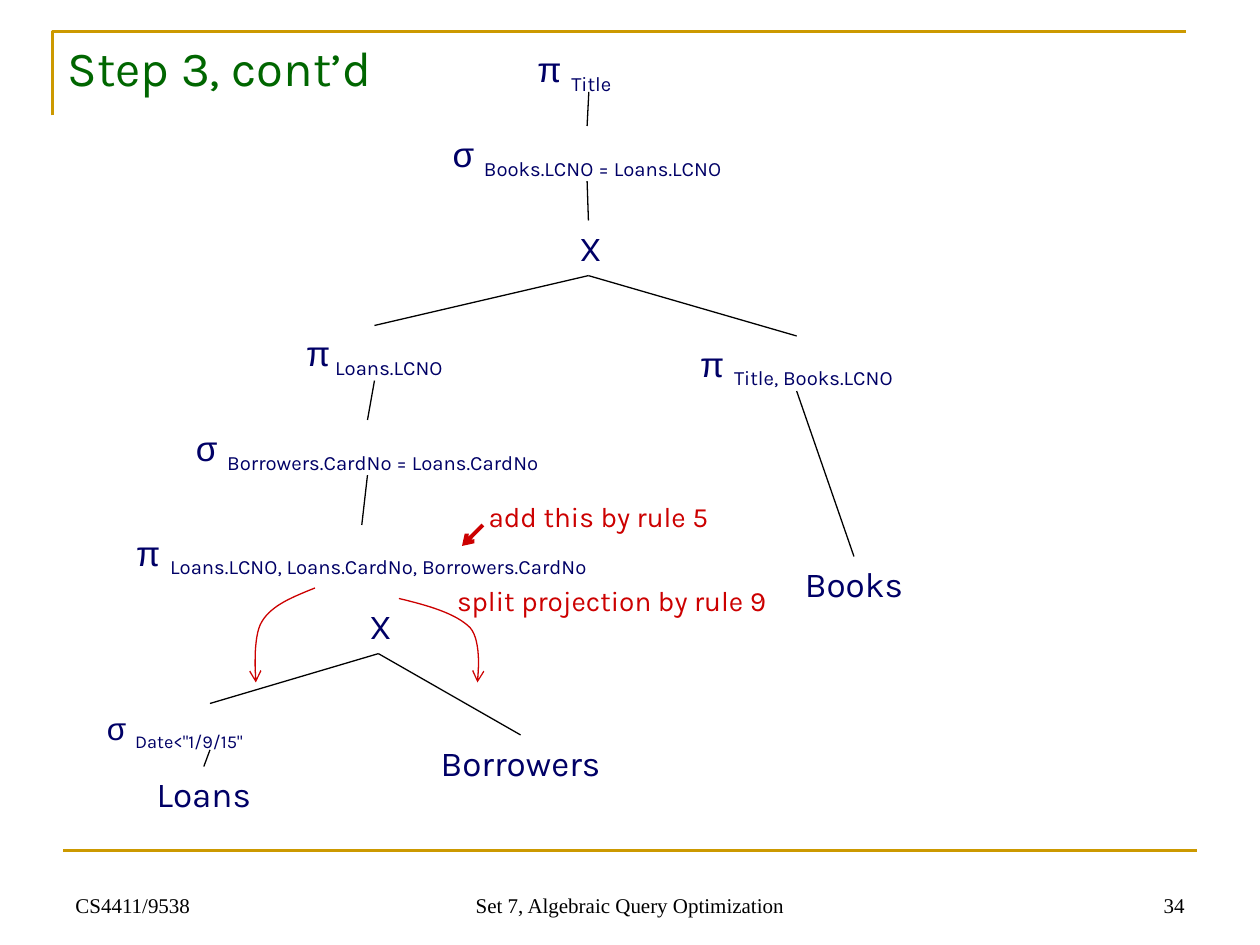
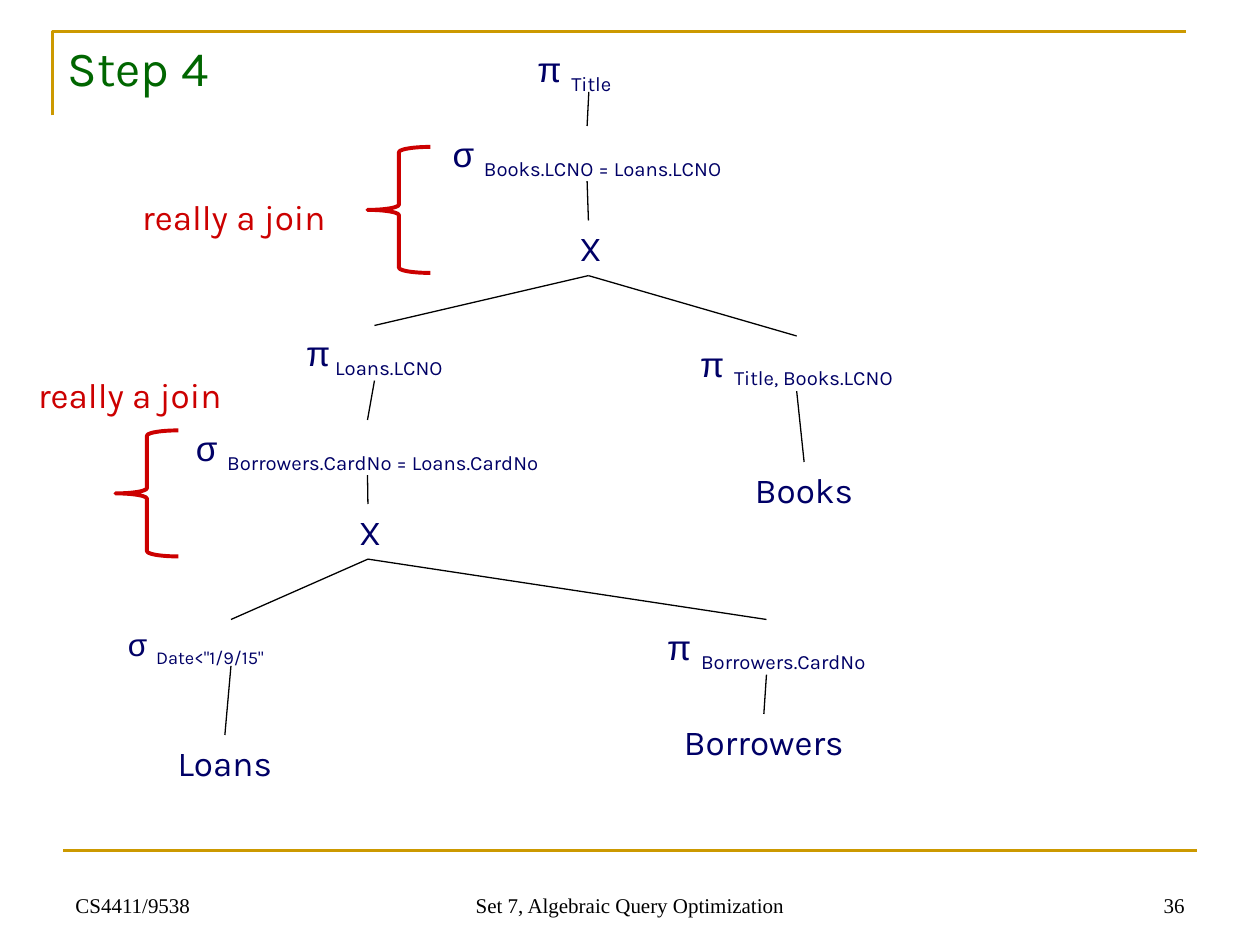
"""Build two slides of query trees for algebraic query optimization."""
from lxml import etree
from pptx import Presentation
from pptx import util as u
from pptx.dml.color import RGBColor
from pptx.enum import shapes, text
from pptx.oxml.ns import qn

GOLD, GREEN, NAVY, RED, BLACK = "CC9900", "006600", "000066", "CC0000", "000000"
BODY_FONT, SYMBOL_FONT, FOOTER_FONT = "Karla", "Arial", "Times New Roman"
LEFT, CENTER, RIGHT = text.PP_ALIGN.LEFT, text.PP_ALIGN.CENTER, text.PP_ALIGN.RIGHT

COURSE, TOPIC = "CS4411/9538", "Set 7, Algebraic Query Optimization"

# node: (parent, symbol, label, left, top, width)
SHARED_TREE = {
    "root": (None, "π ", "Title", 300, 24, 73),
    "book join": ("root", "σ ", "Books.LCNO = Loans.LCNO", 246, 72, 179),
    "top product": ("book join", "", "X", 324, 126, 24.5),
    "loan columns": ("top product", "π", " Loans.LCNO", 165, 186, 98),
    "book columns": ("top product", "π ", "Title, Books.LCNO", 390, 192, 130.5),
    "card join": ("loan columns", "σ ", "Borrowers.CardNo = Loans.CardNo", 98, 240, 224),
}
STEPS = [
    {
        "title": "Step 3, cont’d", "title width": 191, "number": "34",
        "tree": {
            "card columns": ("card join", "π ", "Loans.LCNO, Loans.CardNo, Borrowers.CardNo",
                             60.5, 300, 292.5),
            "low product": (None, "", "X", 204, 342, 24.5),
            "date filter": ("low product", "σ ", "Date<\"1/9/15\"", 54, 402, 132),
            "loans": ("date filter", "", "Loans", 81.5, 438, 70),
            "borrowers": ("low product", "", "Borrowers", 241, 420, 113),
            "books": ("book columns", "", "Books", 452, 318, 72),
        },
        "notes": [("add this by rule 5", 270, 282, 144, 16),
                  ("split projection by rule 9", 252, 330, 195, 16)],
        "pointers": [((276, 300), (264, 312))],
        "curves": [
            [(180, 336), (167.8, 341), (155.5, 345.6), (149.8, 355),
             (144, 363.6), (146.2, 388.8), (146.2, 388.8), (146.2, 390)],
            [(228, 342), (244.8, 346), (260.6, 350.6), (268.6, 358.6),
             (275.8, 366.5), (272.9, 388.8), (272.9, 388.8), (272.9, 390)],
        ],
        "braces": [],
    },
    {
        "title": "Step 4", "title width": 96, "number": "36",
        "tree": {
            "low product": ("card join", "", "X", 198, 288, 24.5),
            "date filter": ("low product", "σ ", "Date<\"1/9/15\"", 66, 354, 132),
            "loans": ("date filter", "", "Loans", 93.5, 420, 70),
            "card columns": ("low product", "π ", "Borrowers.CardNo", 354, 354, 168),
            "borrowers": ("card columns", "", "Borrowers", 380, 408, 113),
            "books": ("book columns", "", "Books", 423.5, 264, 72),
        },
        "notes": [("really a join", 72.5, 108, 122.5, 20),
                  ("really a join", 13, 210, 122.5, 20)],
        "pointers": [],
        "curves": [],
        "braces": [(210, 84), (66, 246)],
    },
]
# left-aligned nodes: (size, height, space before)
HANGING = {"root": (20, 31.5, 5), "date filter": (18, 29.5, 4.5)}


def color(code):
    return RGBColor.from_string(code)


def points(*values):
    return [u.Pt(value) for value in values]


def apply(target, **formats):
    for name, value in formats.items():
        setattr(target, name, value)


def fill_text(frame, runs, size, code, align=LEFT, **paragraph_formats):
    """Write (words, font, baseline) runs into the frame's first paragraph."""
    line = frame.paragraphs[0]
    apply(line, alignment=align, **paragraph_formats)
    for words, font, baseline in runs:
        run = line.add_run()
        run.text = words
        apply(run.font, name=font, size=u.Pt(size), bold=False)
        run.font.color.rgb = color(code)
        if baseline:
            run.font._element.set("baseline", str(baseline))


def add_text(slide, box, runs, size, code, align=CENTER, frame_formats=None, **formats):
    frame = slide.shapes.add_textbox(*points(*box)).text_frame
    apply(frame, **(frame_formats or {
        "word_wrap": align != CENTER,
        "auto_size": text.MSO_AUTO_SIZE.SHAPE_TO_FIT_TEXT}))
    fill_text(frame, runs, size, code, align, **formats)


def style_line(shape, code, width, arrow=False):
    shape.line.color.rgb = color(code)
    shape.line.width = u.Pt(width)
    if arrow:
        etree.SubElement(shape.line._get_or_add_ln(), qn("a:tailEnd"), type="arrow")


def add_line(slide, start, end, code=BLACK, width=0.75, arrow=False):
    line = slide.shapes.add_connector(
        shapes.MSO_CONNECTOR.STRAIGHT, *points(*start, *end))
    style_line(line, code, width, arrow)
    etree.SubElement(line._element.spPr, qn("a:effectLst"))


def add_outline(slide, corners, code, width, arrow=False):
    start, *rest = [points(*corner) for corner in corners]
    builder = slide.shapes.build_freeform(*start)
    builder.add_line_segments(rest, close=False)
    outline = builder.convert_to_shape()
    outline.fill.background()
    outline.shadow.inherit = False
    style_line(outline, code, width, arrow)


def bezier(controls, steps=16):
    """Return points along one cubic curve, without its start."""
    def at(t):
        weights = ((1 - t) ** 3, 3 * t * (1 - t) ** 2, 3 * t * t * (1 - t), t ** 3)
        return tuple(sum(w * c for w, c in zip(weights, axis)) for axis in zip(*controls))
    return [at(step / steps) for step in range(1, steps + 1)]


def add_base(slide, step):
    heading = slide.shapes.title
    apply(heading, **dict(zip(("left", "top", "width", "height"),
                              points(31.5, 18, step["title width"], 41))))
    apply(heading.text_frame, word_wrap=False, auto_size=text.MSO_AUTO_SIZE.NONE,
          vertical_anchor=text.MSO_ANCHOR.TOP)
    fill_text(heading.text_frame, [(step["title"], BODY_FONT, 0)], 28, GREEN)
    add_outline(slide, [(30, 66), (30, 18), (678, 18)], GOLD, 1.5)
    add_line(slide, (36, 486), (684, 486), GOLD, 1.5)
    for words, left, width, align in ((COURSE, 36, 168, LEFT), (TOPIC, 246, 228, CENTER),
                                      (step["number"], 516, 168, RIGHT)):
        add_text(slide, (left, 492, width, 36), [(words, FOOTER_FONT, 0)], 12, BLACK, align,
                 {"word_wrap": True, "vertical_anchor": text.MSO_ANCHOR.BOTTOM})


def add_tree(slide, tree):
    """Draw each node and the line from its parent's foot to its top."""
    feet = {}
    for name, (parent, symbol, label, left, top, width) in tree.items():
        size, height, before = HANGING.get(name, (20, 34.5 if symbol else 31.5, 0))
        runs = [(label, BODY_FONT, -25000 if symbol else 0)]
        if symbol:
            runs.insert(0, (symbol, SYMBOL_FONT, 0))
        hanging = {"space_before": u.Pt(before), "line_spacing": 0.9} if before else {}
        add_text(slide, (left, top, width, height), runs, size, NAVY,
                 LEFT if before else CENTER, **hanging)
        middle = left + width / 2
        feet[name] = (middle, top + height - (3 if symbol else 0))
        if parent:
            add_line(slide, feet[parent], (middle, top))


def add_remarks(slide, step):
    for words, left, top, width, size in step["notes"]:
        height = 26.5 if size == 16 else 31.5
        add_text(slide, (left, top, width, height), [(words, BODY_FONT, 0)], size, RED)
    for start, end in step["pointers"]:
        add_line(slide, start, end, RED, 2.25, arrow=True)
    for curve in step["curves"]:
        track = curve[:1] + bezier(curve[:4]) + bezier(curve[3:7]) + curve[7:]
        add_outline(slide, track, RED, 0.75, arrow=True)
    for corner in step["braces"]:
        brace = slide.shapes.add_shape(shapes.MSO_SHAPE.LEFT_BRACE, *points(*corner, 36, 72))
        brace.shadow.inherit = False
        brace.fill.background()
        style_line(brace, RED, 2.25)


def main():
    deck = Presentation()
    apply(deck, slide_width=u.Pt(720), slide_height=u.Pt(540))
    for step in STEPS:
        slide = deck.slides.add_slide(deck.slide_layouts[5])
        add_base(slide, step)
        add_tree(slide, {**SHARED_TREE, **step["tree"]})
        add_remarks(slide, step)
    deck.save("out.pptx")


if __name__ == "__main__":
    main()
